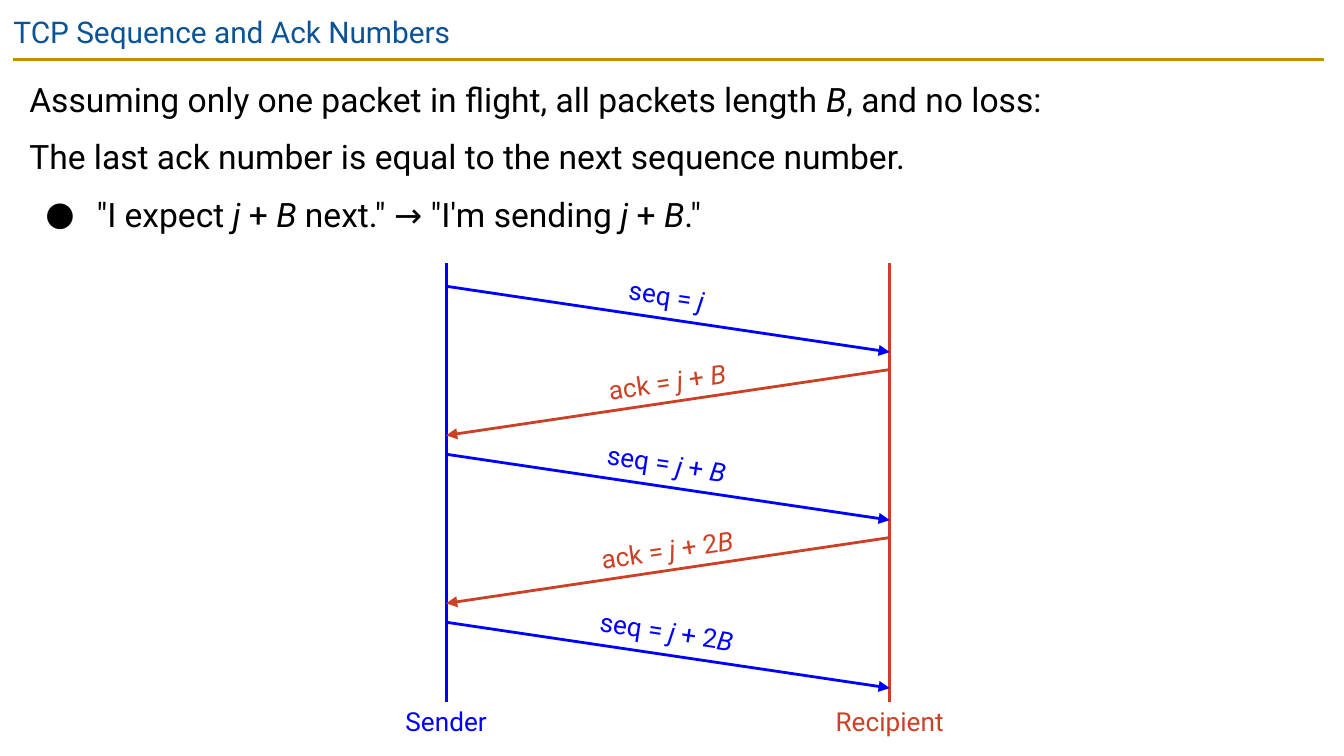
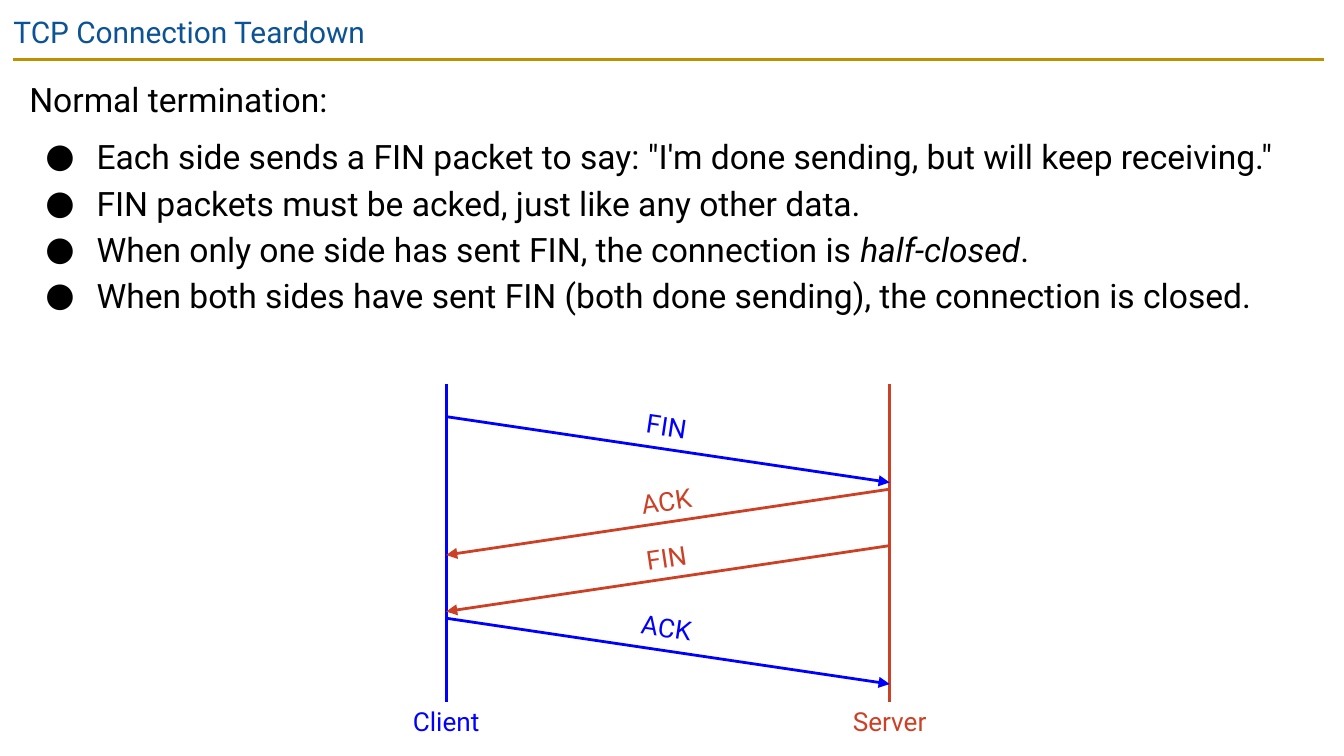
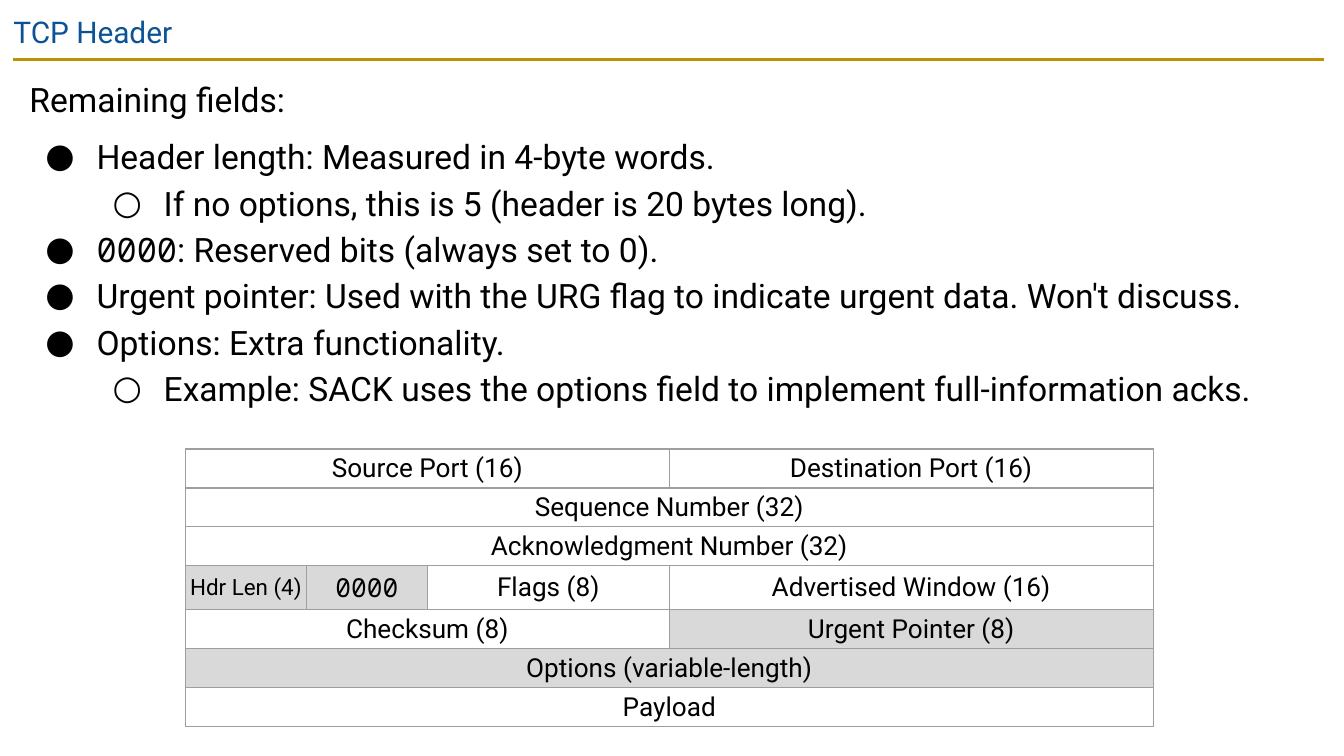
from dataclasses import dataclass

from pptx import Presentation
from pptx.dml.color import RGBColor
from pptx.enum.shapes import MSO_CONNECTOR
from pptx.enum.text import MSO_ANCHOR as Anchor
from pptx.enum.text import MSO_AUTO_SIZE as AutoSize
from pptx.enum.text import PP_ALIGN as Align
from pptx.oxml import parse_xml
from pptx.oxml.ns import nsdecls, qn
from pptx.util import Inches, Pt


@dataclass(frozen=True)
class Theme:
    heading: str = "0B5394"
    rule: str = "BF9000"
    ink: str = "000000"
    left_party: str = "0000FF"
    right_party: str = "CC4125"
    border: str = "9E9E9E"
    highlight: str = "D9D9D9"
    font: str = "Roboto"
    mono: str = "Noto Sans Mono"
    title_size: int = 16
    body_size: int = 18
    label_size: int = 14
    small_size: int = 12
    line_width: float = 1.5


theme = Theme()
presentation = Presentation()
presentation.slide_width = Inches(10)
presentation.slide_height = presentation.slide_width * 9 // 16
unit = presentation.slide_width // 1000


def write(frame, text, size=theme.label_size, color=theme.ink, align=None, margins=(3, 3),
          anchor=Anchor.TOP, fit=AutoSize.NONE, level=0, spacing=None, before=None, first=True):
    if first:
        frame.word_wrap = True
        frame.auto_size = fit
        frame.vertical_anchor = anchor
        frame.margin_left = frame.margin_right = margins[0] * unit
        frame.margin_top = frame.margin_bottom = margins[1] * unit
    paragraph = frame.paragraphs[0] if first else frame.add_paragraph()
    paragraph.alignment = align
    paragraph.line_spacing = spacing
    paragraph.space_before = before
    if level:
        paragraph.level = level - 1
        properties = paragraph._p.get_or_add_pPr()
        properties.set("marL", str(level * 50 * unit))
        properties.set("indent", str(-38 * unit))
        for xml in (f'<a:buClr {nsdecls("a")}><a:srgbClr val="{color}"/></a:buClr>',
                    f'<a:buFont {nsdecls("a")} typeface="{theme.font}"/>',
                    f'<a:buChar {nsdecls("a")} char="{"●○"[level - 1]}"/>'):
            properties.append(parse_xml(xml))
    for italic_index, section in enumerate(text.split("*")):
        for mono_index, part in enumerate(section.split("`")):
            if part:
                run = paragraph.add_run()
                run.text = part
                run.font.size = Pt(size)
                run.font.name = theme.mono if mono_index % 2 else theme.font
                run.font.italic = italic_index % 2 == 1
                run.font.color.rgb = RGBColor.from_string(color)


def draw_line(shapes, start, end, color, arrow=False):
    connector = shapes.add_connector(
        MSO_CONNECTOR.STRAIGHT, *(length * unit for length in (*start, *end)))
    connector.line.width = Pt(theme.line_width)
    connector.line.color.rgb = RGBColor.from_string(color)
    properties = connector.element.spPr
    if arrow:
        properties.find(qn("a:ln")).append(
            parse_xml(f'<a:tailEnd {nsdecls("a")} type="triangle"/>'))
    properties.append(parse_xml(f'<a:effectLst {nsdecls("a")}/>'))
    return connector


contents = [
    ("TCP Sequence and Ack Numbers", 147, [
        (0, "Assuming only one packet in flight, all packets length *B*, and no loss:"),
        (0, "The last ack number is equal to the next sequence number."),
        (1, "\"I expect *j* + *B* next.\" → \"I'm sending *j* + *B*.\""),
    ]),
    ("TCP Connection Teardown", 247, [
        (0, "Normal termination:"),
        (1, "Each side sends a FIN packet to say: \"I'm done sending, but will keep receiving.\""),
        (1, "FIN packets must be acked, just like any other data."),
        (1, "When only one side has sent FIN, the connection is *half-closed*."),
        (1, "When both sides have sent FIN (both done sending), the connection is closed."),
    ]),
    ("TCP Header", 267, [
        (0, "Remaining fields:"),
        (1, "Header length: Measured in 4-byte words."),
        (2, "If no options, this is 5 (header is 20 bytes long)."),
        (1, "`0000`: Reserved bits (always set to 0)."),
        (1, "Urgent pointer: Used with the URG flag to indicate urgent data. Won't discuss."),
        (1, "Options: Extra functionality."),
        (2, "Example: SACK uses the options field to implement full-information acks."),
    ]),
]

layout = presentation.slide_layouts[5]
slides = []
for heading, body_height, lines in contents:
    slide = presentation.slides.add_slide(layout)
    slides.append(slide)
    title = slide.shapes.title
    title.left, title.top, title.width, title.height = 0, 0, 932 * unit, 43 * unit
    write(title.text_frame, heading, size=theme.title_size, color=theme.heading,
          align=Align.LEFT, margins=(10, 10))
    body = slide.shapes.add_textbox(12 * unit, 44 * unit, 974 * unit, body_height * unit)
    previous_level = 0
    for index, (level, text) in enumerate(lines):
        write(body.text_frame, text, size=theme.body_size, margins=(10, 10), level=level,
              spacing=1.15, before=Pt(0 if level and previous_level else 6), first=index == 0)
        previous_level = level

title_rule = draw_line(slides[0].shapes, (10, 44), (985, 44), theme.rule)
layout.shapes.element.append(title_rule.element)

lanes = (332, 662)
lane_colors = (theme.left_party, theme.right_party)
lane_bottom = 522
arrow_drop = 49
label_center = 496
label_height = 31
label_offsets = (-8, -6)
label_angles = (8.5, -8.5)

diagrams = [
    (slides[0], 196, ("Sender", "Recipient"), (126, 329), [
        (213 + step * 125 // 2, step % 2, text) for step, text in enumerate((
            "seq = *j*", "ack = *j *+ *B*", "seq = *j* + *B*",
            "ack = *j *+ 2*B*", "seq = *j* + 2*B*"))]),
    (slides[1], 286, ("Client", "Server"), (86, 86), [
        (310, 0, "FIN"), (364, 1, "ACK"), (406, 1, "FIN"), (460, 0, "ACK")]),
]

for slide, lane_top, parties, label_widths, messages in diagrams:
    for lane, party, color in zip(lanes, parties, lane_colors):
        draw_line(slide.shapes, (lane, lane_top), (lane, lane_bottom), color)
        name = slide.shapes.add_textbox(
            (lane - 65) * unit, lane_bottom * unit, 130 * unit, 30 * unit)
        write(name.text_frame, party, color=color, align=Align.CENTER,
              margins=(10, 3), fit=AutoSize.SHAPE_TO_FIT_TEXT)
    for top, origin, text in messages:
        message = slide.shapes.add_group_shape()
        color, width = lane_colors[origin], label_widths[origin]
        draw_line(message.shapes, (lanes[origin], top),
                  (lanes[1 - origin], top + arrow_drop), color, arrow=True)
        label = message.shapes.add_textbox(
            (label_center - width // 2) * unit, (top + label_offsets[origin]) * unit,
            width * unit, label_height * unit)
        label.rotation = label_angles[origin]
        write(label.text_frame, text, color=color, align=Align.CENTER)

header_rows = [
    [("Source Port (16)", 4, False), ("Destination Port (16)", 4, False)],
    [("Sequence Number (32)", 8, False)],
    [("Acknowledgment Number (32)", 8, False)],
    [("Hdr Len (4)", 1, True), ("`0000`", 1, True), ("Flags (8)", 2, False),
     ("Advertised Window (16)", 4, False)],
    [("Checksum (8)", 4, False), ("Urgent Pointer (8)", 4, True)],
    [("Options (variable-length)", 8, True)],
    [("Payload", 8, False)],
]
column_count, column_width, row_height = 8, 90, 22
table = slides[2].shapes.add_table(
    len(header_rows), column_count, 138 * unit, 334 * unit,
    column_count * column_width * unit, len(header_rows) * row_height * unit).table
table.first_row = table.horz_banding = False

for cell in table.iter_cells():
    cell.margin_left = cell.margin_right = cell.margin_top = cell.margin_bottom = 3 * unit
    cell.vertical_anchor = Anchor.MIDDLE
    for side in ("lnL", "lnR", "lnT", "lnB"):
        cell._tc.get_or_add_tcPr().append(parse_xml(
            f'<a:{side} {nsdecls("a")} w="{Pt(0.75)}"><a:solidFill>'
            f'<a:srgbClr val="{theme.border}"/></a:solidFill></a:{side}>'))
    cell.fill.background()

for row, fields in enumerate(header_rows):
    column = 0
    for text, span, highlighted in fields:
        cell = table.cell(row, column)
        if span > 1:
            cell.merge(table.cell(row, column + span - 1))
        if highlighted:
            cell.fill.solid()
            cell.fill.fore_color.rgb = RGBColor.from_string(theme.highlight)
        write(cell.text_frame, text, align=Align.CENTER, anchor=Anchor.MIDDLE,
              size=theme.small_size if text.startswith("Hdr") else theme.label_size)
        column += span

presentation.save("out.pptx")
